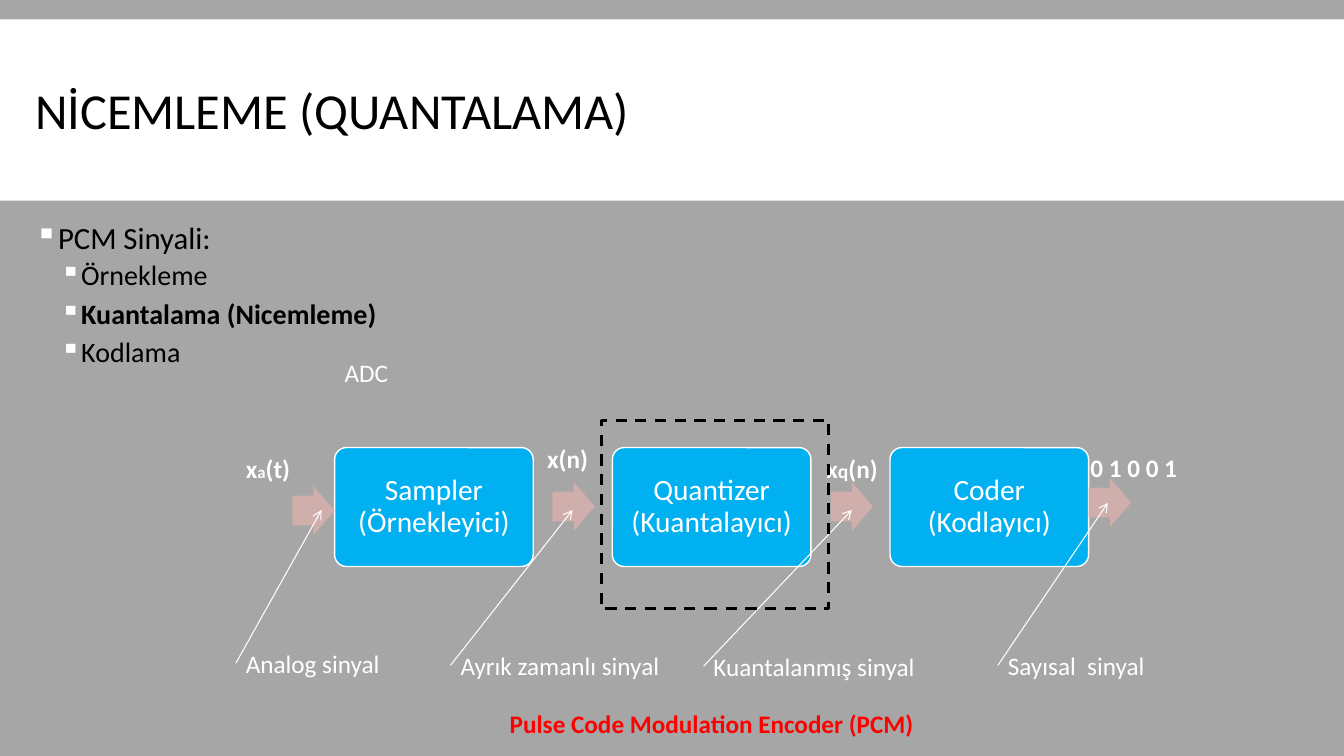
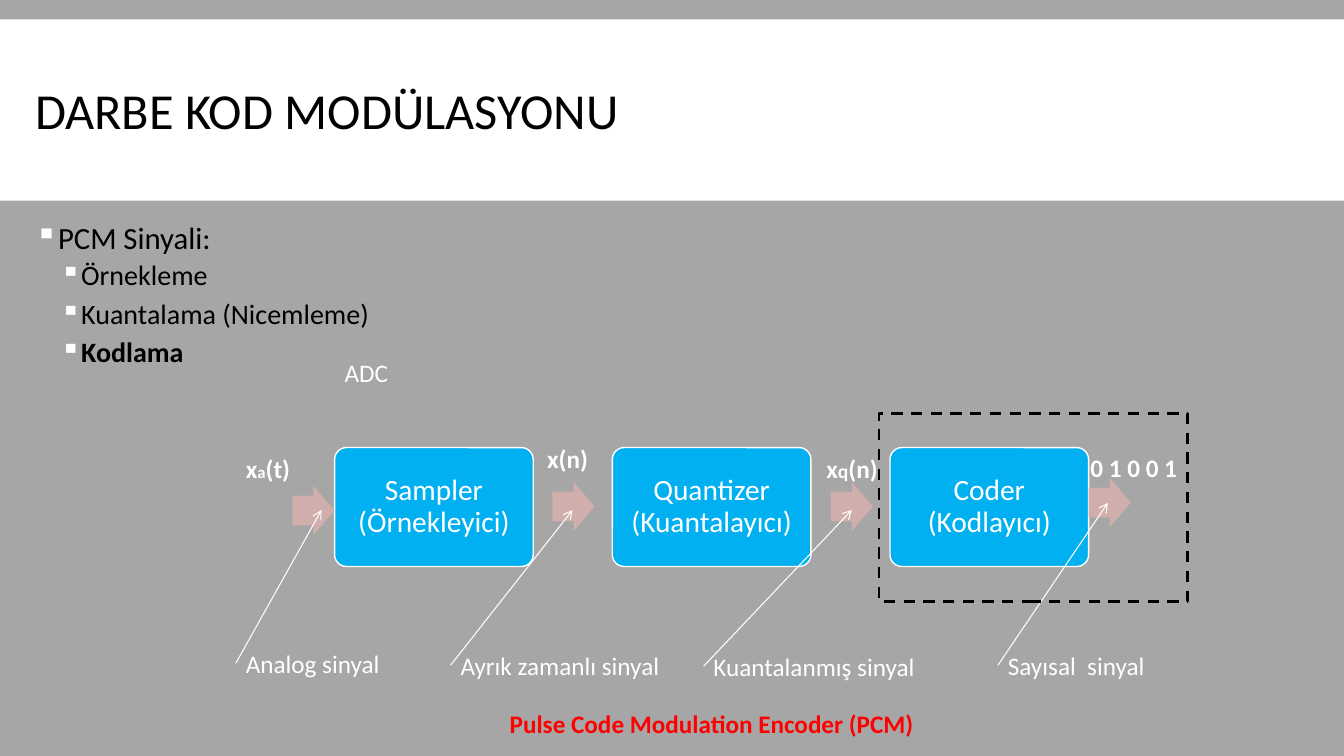
from dataclasses import dataclass

from pptx import Presentation
from pptx import util as u
from pptx.dml.color import RGBColor
from pptx.enum import dml, shapes, text
from pptx.oxml import ns
from lxml import etree


@dataclass(frozen=True)
class Theme:
    font: str = "Calibri"
    ground: str = "A6A6A6"
    light: str = "FFFFFF"
    dark: str = "000000"
    stage: str = "00B0F0"
    flow: str = "CFAEAB"
    accent: str = "FF0000"
    title: int = 36
    topic: int = 22
    step: int = 20
    block: int = 21
    label: int = 18


@dataclass(frozen=True)
class Box:
    """Area in grid units; the page is 160 columns by 90 rows."""
    left: float
    top: float
    width: float
    height: float

    def inner(self, left, top, width, height):
        return Box(self.left + left, self.top + top, width, height)

    def place(self):
        return [grid(n) for n in (self.left, self.top, self.width, self.height)]


THEME = Theme()
PAGE = Box(0, 0, 160, 90)
BAND = PAGE.inner(0, 2.3, 160, 21.6)
TITLE = PAGE.inner(3, 3.7, 141.2, 19.8)
OUTLINE = PAGE.inner(3, 25.9, 128.4, 21.7)
DIAGRAM = PAGE.inner(28, 42, 116, 47)

STEPS = ["Örnekleme", "Kuantalama (Nicemleme)", "Kodlama"]
STAGES = ["Sampler (Örnekleyici)", "Quantizer (Kuantalayıcı)", "Coder (Kodlayıcı)"]
STAGE_PITCH = 33.06
LABEL_HEIGHT = 4.8
ARROW_SIZE = (5.04, 5.88)


@dataclass(frozen=True)
class Signal:
    """A signal between stages; places are relative to the diagram."""
    symbol: tuple        # (text, size) spans
    symbol_at: tuple     # left, top, width
    arrow_at: tuple      # left, top
    caption: str
    caption_at: tuple    # left, top, width
    tip: tuple           # end of the pointer


SIGNALS = [
    Signal((("x", 18), ("a", 12), ("(t)", 18)), (0.08, 11.4, 20.28), (6.8, 15.84),
           "Analog sinyal", (0.08, 34.56, 21.24), (10.28, 18.72)),
    Signal((("x(n)", 18),), (35.96, 10.2, 12.48), (37.76, 15.36),
           "Ayrık zamanlı sinyal", (25.64, 34.8, 27.72), (40.16, 18.72)),
    Signal((("x", 18), ("q", 14), ("(n)", 18)), (69.2, 11.4, 12.48), (70.88, 15.36),
           "Kuantalanmış sinyal", (55.76, 34.92, 27.36), (73.4, 18.72)),
    Signal((("0 1 0 0 1", 18),), (100.64, 11.28, 14.04), (101.6, 14.88),
           "Sayısal  sinyal", (90.8, 34.8, 22.68), (103.88, 17.88)),
]


def grid(units):
    return u.Inches(units / 12)


def color(code):
    return RGBColor.from_string(code)


def style(span, size, code, bold=False):
    span.font.name = THEME.font
    span.font.size = u.Pt(size)
    span.font.color.rgb = color(code)
    span.font.bold = bold


def add_text(page, box, spans, code=THEME.light, bold=False):
    """Add a text box of one paragraph made of (text, size) spans."""
    area = page.shapes.add_textbox(*box.place())
    area.text_frame.word_wrap = True
    para = area.text_frame.paragraphs[0]
    for words, size in spans:
        span = para.add_run()
        span.text = words
        style(span, size, code, bold)
    return area.text_frame


def add_block(page, kind, box, fill=None, line=None, width=1):
    block = page.shapes.add_shape(kind, *box.place())
    block.shadow.inherit = False
    if fill:
        block.fill.solid()
        block.fill.fore_color.rgb = color(fill)
    else:
        block.fill.background()
    if line:
        block.line.color.rgb = color(line)
        block.line.width = u.Pt(width)
    else:
        block.line.fill.background()
    return block


def add_pointer(page, start, end):
    ends = [grid(n) for n in (*start, *end)]
    pointer = page.shapes.add_connector(shapes.MSO_CONNECTOR.STRAIGHT, *ends)
    pointer.line.color.rgb = color(THEME.light)
    pointer.line.width = u.Pt(0.75)
    props = pointer.element.spPr
    etree.SubElement(props.find(ns.qn("a:ln")), ns.qn("a:tailEnd"), type="arrow")
    etree.SubElement(props, ns.qn("a:effectLst"))


def add_bullet(para, margin, before, after):
    para.line_spacing = 0.9
    para.space_before, para.space_after = u.Pt(before), u.Pt(after)
    props = para._p.get_or_add_pPr()
    props.set("marL", str(u.Inches(margin)))
    props.set("indent", str(u.Inches(-0.2)))
    tint = etree.SubElement(props, ns.qn("a:buClr"))
    etree.SubElement(tint, ns.qn("a:srgbClr"), val=THEME.light)
    etree.SubElement(props, ns.qn("a:buChar"), char="▪")


# Title band
def draw_header(page, title):
    add_block(page, shapes.MSO_SHAPE.RECTANGLE, BAND, THEME.light)
    frame = add_text(page, TITLE, [(title, THEME.title)], THEME.dark)
    frame.vertical_anchor = text.MSO_ANCHOR.MIDDLE
    frame.paragraphs[0].line_spacing = 0.85


# Bulleted steps with the current one in bold
def draw_outline(page, box, current):
    frame = add_text(page, box, [("PCM Sinyali:", THEME.topic)], THEME.dark)
    add_bullet(frame.paragraphs[0], 0.2, 12, 2)
    for index, step in enumerate(STEPS):
        para = frame.add_paragraph()
        para.text = step
        para.level = 1
        style(para.runs[0], THEME.step, THEME.dark, index == current)
        add_bullet(para, 0.45, 2, 4)


# One stage of the encoder
def draw_stage(page, box, words):
    block = add_block(page, shapes.MSO_SHAPE.ROUNDED_RECTANGLE, box, THEME.stage, THEME.light)
    block.adjustments[0] = 0.1
    frame = block.text_frame
    frame.text = words
    frame.word_wrap = True
    frame.vertical_anchor = text.MSO_ANCHOR.MIDDLE
    frame.margin_left = frame.margin_right = u.Inches(0.12)
    para = frame.paragraphs[0]
    para.alignment = text.PP_ALIGN.CENTER
    para.line_spacing = 0.9
    style(para.runs[0], THEME.block, THEME.light)


# Signal arrow, symbol, caption and pointer
def draw_signal(page, box, signal):
    arrow = add_block(page, shapes.MSO_SHAPE.RIGHT_ARROW,
                      box.inner(*signal.arrow_at, *ARROW_SIZE), THEME.flow)
    arrow.adjustments[0], arrow.adjustments[1] = 0.6, 0.5
    caption = box.inner(*signal.caption_at, LABEL_HEIGHT)
    add_text(page, caption, [(signal.caption, THEME.label)])
    add_pointer(page, (caption.left, caption.top + LABEL_HEIGHT / 2),
                (box.left + signal.tip[0], box.top + signal.tip[1]))
    add_text(page, box.inner(*signal.symbol_at, LABEL_HEIGHT), signal.symbol, bold=True)


# Encoder diagram with a dashed frame around the current stage
def draw_diagram(page, box, focus):
    for index, words in enumerate(STAGES):
        left = 11.84 + index * STAGE_PITCH
        draw_stage(page, box.inner(left, 11.28, 23.64, 14.16), words)
    add_text(page, box.inner(11.84, 0, 17, LABEL_HEIGHT), [("ADC", THEME.label)])
    for signal in SIGNALS:
        draw_signal(page, box, signal)
    name = add_text(page, box.inner(20.84, 41.76, 71.76, LABEL_HEIGHT),
                    [("Pulse Code Modulation Encoder (PCM)", THEME.label)], THEME.accent, True)
    name.paragraphs[0].alignment = text.PP_ALIGN.CENTER
    outline = add_block(page, shapes.MSO_SHAPE.RECTANGLE, box.inner(*focus),
                        line=THEME.dark, width=2)
    outline.line.dash_style = dml.MSO_LINE.DASH


def draw_page(deck, title, current, focus):
    page = deck.slides.add_slide(deck.slide_layouts[6])
    page.background.fill.solid()
    page.background.fill.fore_color.rgb = color(THEME.ground)
    draw_header(page, title)
    draw_outline(page, OUTLINE, current)
    draw_diagram(page, DIAGRAM, focus)


deck = Presentation()
deck.slide_width, deck.slide_height = grid(PAGE.width), grid(PAGE.height)
draw_page(deck, "NİCEMLEME (QUANTALAMA)", 1, (43.64, 8.04, 27, 22.44))
draw_page(deck, "DARBE KOD MODÜLASYONU", 2, (76.64, 7.2, 36.72, 22.44))
deck.save("out.pptx")
